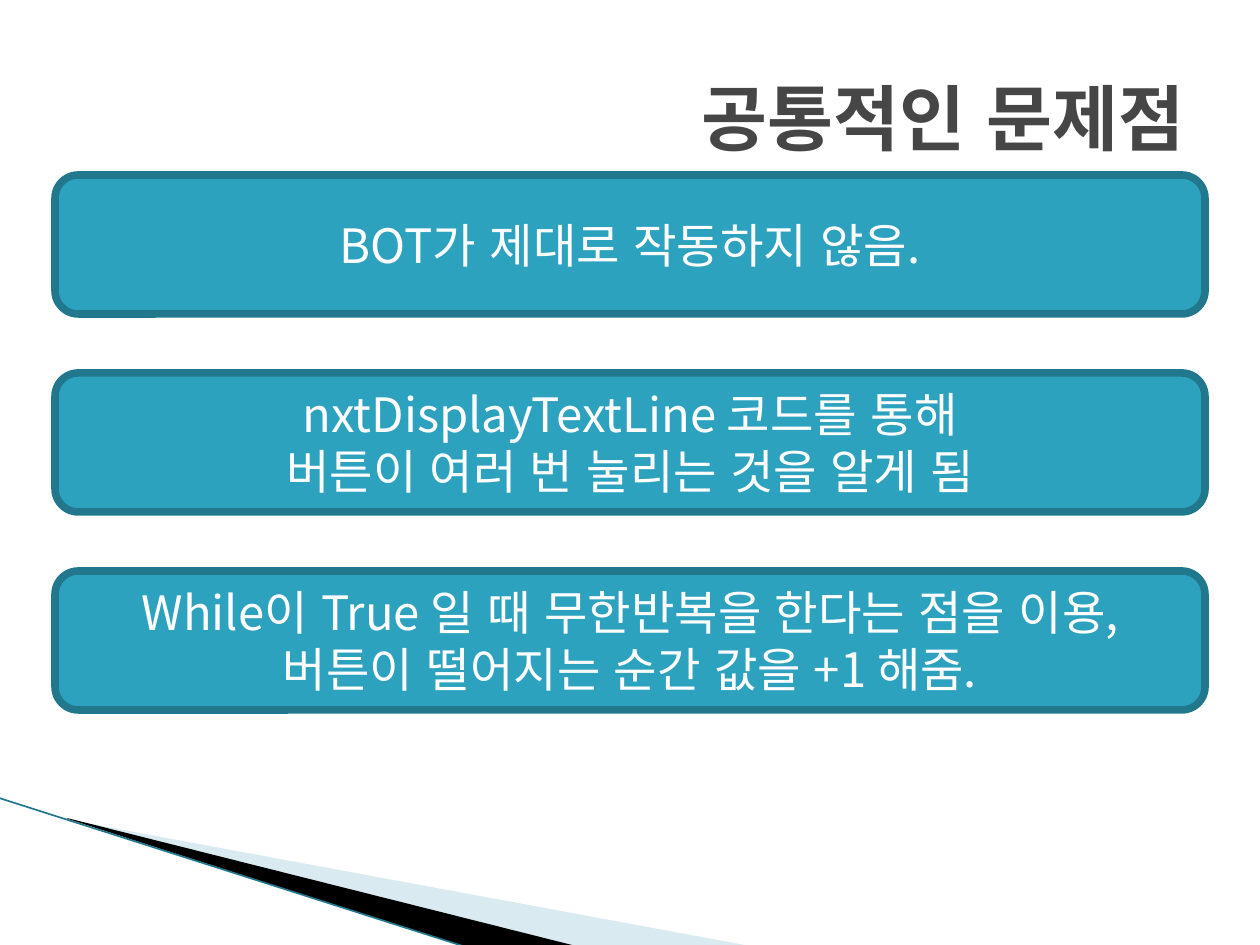
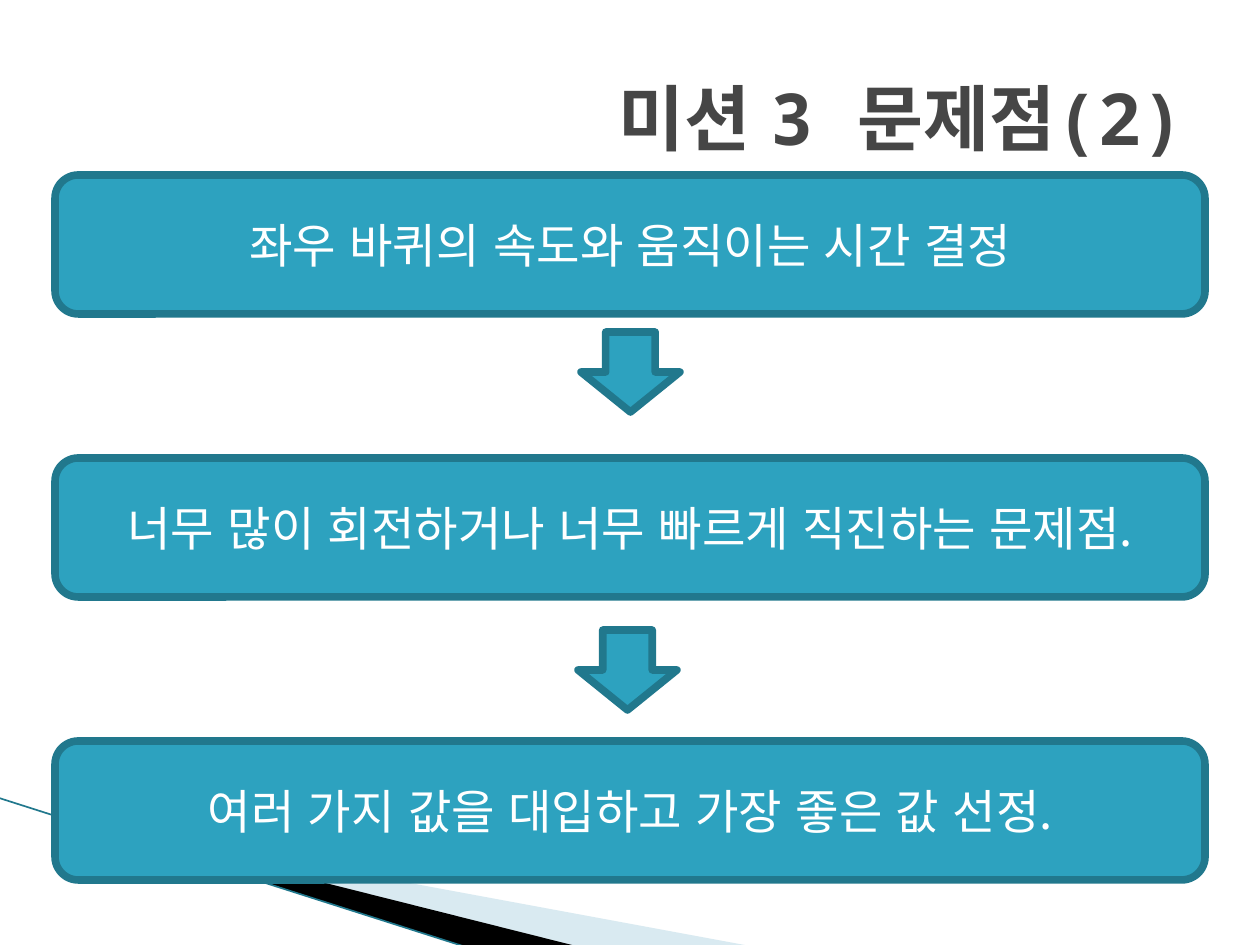
"""Builds two slides of stacked notes under a shared title and swoosh."""
from dataclasses import dataclass

import pptx
import pptx.dml.color
import pptx.enum.lang
import pptx.enum.shapes
import pptx.enum.text
import pptx.oxml.ns
import pptx.util
from lxml import etree

UNIT = 914400 / 126
WIDE, HIGH = 1260, 945
HUES = {
    "title": "464646",
    "fill": "2DA2BF",
    "edge": "21788D",
    "pale": "A0CBDC",
    "dark": "000000",
    "text": "FFFFFF",
}
SANS, MONO = "Noto Sans CJK KR", "Noto Sans Mono"
LEFT, TOP, BOX_W, BOX_H = 55, 175, 1150, 139
ARROW_W, ARROW_H = 99, 80
KIND = pptx.enum.shapes.MSO_SHAPE
ALIGN = pptx.enum.text.PP_ALIGN


@dataclass
class Arrow:
    """Top left corner of a down arrow."""
    left: int
    top: int


@dataclass
class Page:
    """Title, notes from top to bottom, their pitch, and any arrows."""
    title: str
    notes: list[str]
    step: int
    arrows: list[Arrow]


PAGES = [
    Page("공통적인 문제점", [
        "BOT가 제대로 작동하지 않음.",
        "nxtDisplayTextLine 코드를 통해\n버튼이 여러 번 눌리는 것을 알게 됨",
        "While이 True 일 때 무한반복을 한다는 점을 이용,\n"
        "버튼이 떨어지는 순간 값을 +1 해줌.",
    ], 198, []),
    Page("미션 3 문제점(2)", [
        "좌우 바퀴의 속도와 움직이는 시간 결정",
        "너무 많이 회전하거나 너무 빠르게 직진하는 문제점.",
        "여러 가지 값을 대입하고 가장 좋은 값 선정.",
    ], 283, [Arrow(581, 332), Arrow(578, 630)]),
]


def px(num: float) -> pptx.util.Emu:
    """Turn pixels into EMU."""
    return pptx.util.Emu(round(num * UNIT))


def hue(name: str) -> pptx.dml.color.RGBColor:
    """Look up a named colour."""
    return pptx.dml.color.RGBColor.from_string(HUES[name])


def paint(shape, fill: str) -> None:
    """Give a shape a flat fill and no shadow."""
    shape.shadow.inherit = False
    shape.fill.solid()
    shape.fill.fore_color.rgb = hue(fill)


def write(frame, text: str, size: int, face: str, tint: str,
          align, bold: bool = False) -> None:
    """Fill a text frame and format every run in it."""
    frame.word_wrap = True
    frame.vertical_anchor = pptx.enum.text.MSO_ANCHOR.MIDDLE
    frame.text = text
    for para in frame.paragraphs:
        para.alignment = align
        for run in para.runs:
            font = run.font
            font.name, font.size, font.bold = face, pptx.util.Pt(size), bold
            font.color.rgb = hue(tint)
            font.language_id = pptx.enum.lang.MSO_LANGUAGE_ID.KOREAN
            east = etree.Element(pptx.oxml.ns.qn("a:ea"), typeface=SANS)
            font._element.find(pptx.oxml.ns.qn("a:latin")).addnext(east)


def wedge(slide, spots: list[tuple[int, int]], fill: str):
    """Draw a closed, borderless outline."""
    pen = slide.shapes.build_freeform(*spots[0], scale=UNIT)
    pen.add_line_segments(spots[1:], close=True)
    shape = pen.convert_to_shape()
    paint(shape, fill)
    shape.line.fill.background()
    return shape


def swoosh(slide) -> None:
    """Draw the wedges and hairline in the lower left corner."""
    pale = wedge(slide, [(69, 820), (750, 946), (575, 946), (69, 819)], "pale")
    tone = pale.fill._xPr.find(".//" + pptx.oxml.ns.qn("a:srgbClr"))
    etree.SubElement(tone, pptx.oxml.ns.qn("a:alpha"), val="40000")
    wedge(slide, [(67, 818), (576, 946), (469, 948), (68, 819)], "dark")
    line = slide.shapes.add_connector(
        pptx.enum.shapes.MSO_CONNECTOR.STRAIGHT,
        px(-1), px(798), px(469), px(948))
    line.line.color.rgb = hue("edge")
    line.line.width = pptx.util.Pt(0.95)
    etree.SubElement(line._element.spPr, pptx.oxml.ns.qn("a:effectLst"))


def head(slide, text: str) -> None:
    """Place the title at the upper right."""
    box = slide.shapes.add_textbox(px(63), px(38), px(1134), px(157))
    write(box.text_frame, text, 41, MONO, "title", ALIGN.RIGHT, True)


def block(slide, kind, left: int, top: int, wide: int, high: int):
    """Draw a teal shape with a thick, darker edge."""
    shape = slide.shapes.add_shape(kind, px(left), px(top), px(wide), px(high))
    paint(shape, "fill")
    shape.line.color.rgb = hue("edge")
    shape.line.width = pptx.util.Pt(4.33)
    return shape


def note(slide, text: str, top: int) -> None:
    """Draw a rounded box with centred text."""
    shape = block(slide, KIND.ROUNDED_RECTANGLE, LEFT, top, BOX_W, BOX_H)
    frame = shape.text_frame
    write(frame, text, 27, SANS, "text", ALIGN.CENTER)
    for para in frame.paragraphs:
        para.line_spacing = pptx.util.Pt(32.5)


def draw(deck, page: Page) -> None:
    """Add one page to the deck."""
    slide = deck.slides.add_slide(deck.slide_layouts[6])
    swoosh(slide)
    head(slide, page.title)
    for row, text in enumerate(page.notes):
        note(slide, text, TOP + row * page.step)
    for arrow in page.arrows:
        block(slide, KIND.DOWN_ARROW, arrow.left, arrow.top, ARROW_W, ARROW_H)


def main() -> None:
    """Build and save the deck."""
    deck = pptx.Presentation()
    deck.slide_width, deck.slide_height = px(WIDE), px(HIGH)
    for page in PAGES:
        draw(deck, page)
    deck.save("out.pptx")


main()
